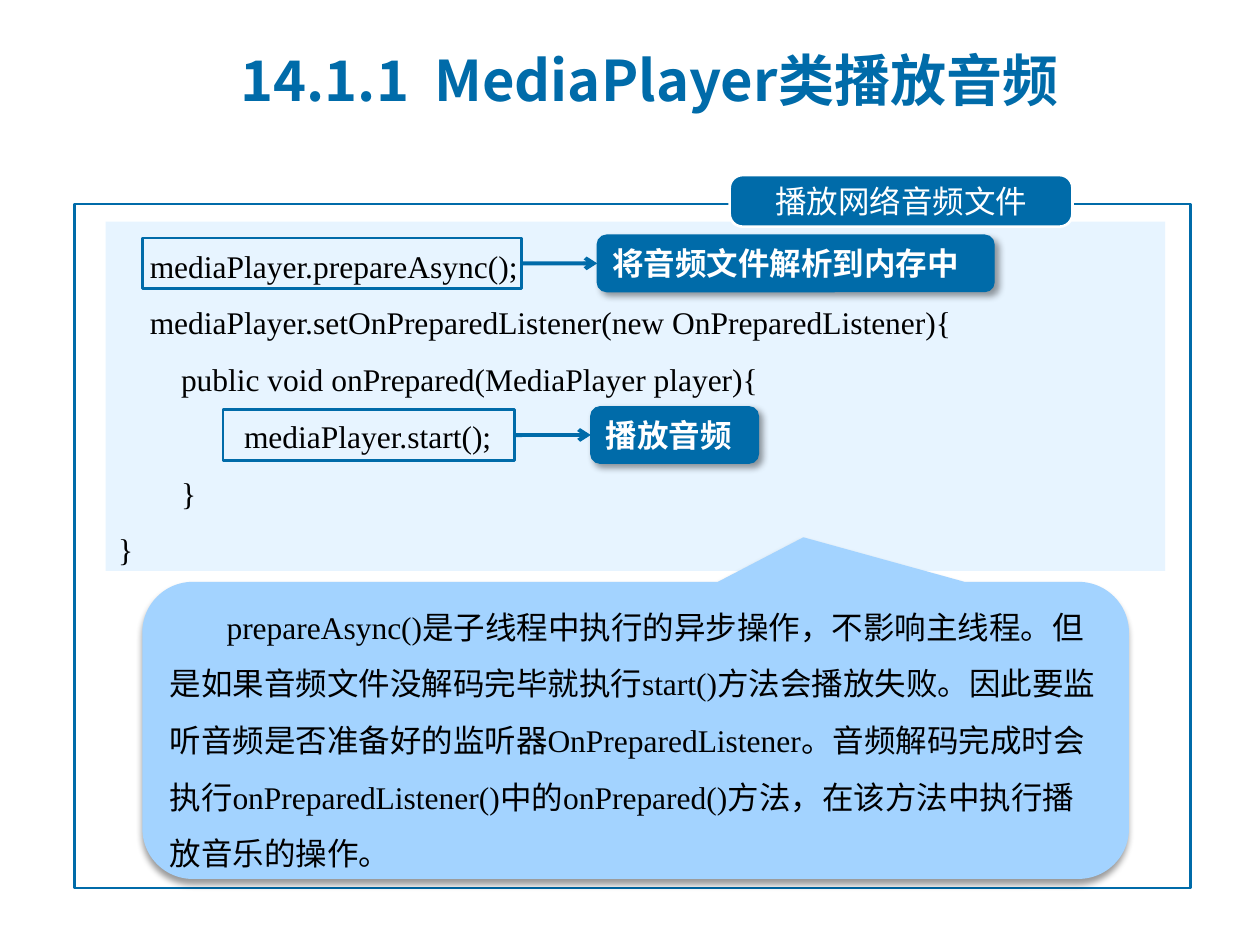
from lxml import etree
from pptx import Presentation
from pptx.dml.color import RGBColor
from pptx.enum.shapes import MSO_CONNECTOR, MSO_SHAPE
from pptx.enum.text import MSO_ANCHOR, PP_ALIGN
from pptx.oxml.ns import qn
from pptx.util import Cm, Pt

RECT = MSO_SHAPE.RECTANGLE
ROUND = MSO_SHAPE.ROUNDED_RECTANGLE
CALLOUT = MSO_SHAPE.ROUNDED_RECTANGULAR_CALLOUT
STRAIGHT = MSO_CONNECTOR.STRAIGHT
TOP, MIDDLE = MSO_ANCHOR.TOP, MSO_ANCHOR.MIDDLE
LEFT, CENTER = PP_ALIGN.LEFT, PP_ALIGN.CENTER
BLUE, PALE, SKY, WHITE, BLACK = "006BA9", "E7F4FF", "A3D3FF", "FFFFFF", "000000"
CJK, SERIF, SANS = "Noto Sans CJK SC", "Times New Roman", "Calibri"


def paint(fill, colour):
    fill.solid()
    fill.fore_color.rgb = RGBColor.from_string(colour)


def add_box(kind, place, fill=None, line=None, width=1.5, shadow=None,
            lines=(), colour=BLACK, font=None, frame=None, para_format=None):
    """Add a shape; lines holds (left margin, first-line indent, text) in cm."""
    left, top, wide, high = (Cm(value) for value in place)
    if kind is None:
        box = page.shapes.add_textbox(left, top, wide, high)
    else:
        box = page.shapes.add_shape(kind, left, top, wide, high)
        box.shadow.inherit = False
        if fill:
            paint(box.fill, fill)
        else:
            box.fill.background()
        if line:
            paint(box.line.fill, line)
            box.line.width = Pt(width)
        else:
            box.line.fill.background()
    if shadow is not None:
        effects = box._element.spPr.find(qn("a:effectLst"))
        outer = etree.SubElement(effects, qn("a:outerShdw"), blurRad=str(Pt(4)),
                                 dist=str(Pt(3)), dir=str(shadow * 60000), rotWithShape="0")
        tone = etree.SubElement(outer, qn("a:srgbClr"), val=BLACK)
        etree.SubElement(tone, qn("a:alpha"), val="40000")
    text = box.text_frame
    for name, value in {"word_wrap": True, "vertical_anchor": MIDDLE, **(frame or {})}.items():
        setattr(text, name, value)
    for number, (margin, indent, words) in enumerate(lines):
        para = text.add_paragraph() if number else text.paragraphs[0]
        for name, value in {"alignment": LEFT, **(para_format or {})}.items():
            setattr(para, name, value)
        properties = para._p.get_or_add_pPr()
        properties.set("marL", str(Cm(margin)))
        properties.set("indent", str(Cm(indent)))
        span = para.add_run()
        span.text = words
        for name, value in {"size": Pt(18), "name": SERIF, **(font or {})}.items():
            setattr(span.font, name, value)
        paint(span.font.fill, colour)
        etree.SubElement(span._r.get_or_add_rPr(), qn("a:ea"), typeface=CJK)
    return box


deck = Presentation()
deck.slide_width, deck.slide_height = Cm(25.4), Cm(19.05)
page = deck.slides.add_slide(deck.slide_layouts[6])

# Code panel
code = [
    (0.64, 0, "mediaPlayer.prepareAsync();"),
    (0.64, 0, "mediaPlayer.setOnPreparedListener(new OnPreparedListener){"),
    (1.27, 0, "public void onPrepared(MediaPlayer player){"),
    (2.54, 0, "mediaPlayer.start();"),
    (1.27, 0, "}"),
    (0, 0, "}"),
]
add_box(RECT, (2.13, 4.47, 21.36, 7.04), PALE, lines=code,
        frame={"vertical_anchor": TOP}, para_format={"line_spacing": 1.5})

# Outer frame and its tab
add_box(RECT, (1.5, 4.11, 22.5, 13.79), line=BLUE)
tab = add_box(ROUND, (14.71, 3.53, 6.91, 1.04), BLUE, WHITE,
              lines=[(0, 0, "播放网络音频文件")], colour=WHITE, font={"name": CJK},
              frame={"margin_left": Cm(0.6), "margin_right": Cm(0.6),
                     "margin_top": Cm(0.15), "margin_bottom": Cm(0.15)},
              para_format={"alignment": CENTER})
tab.adjustments[0] = 0.25

# Explanation callout
explanation = (
    "prepareAsync()是子线程中执行的异步操作，不影响主线程。"
    "但是如果音频文件没解码完毕就执行start()方法会播放失败。"
    "因此要监听音频是否准备好的监听器OnPreparedListener。"
    "音频解码完成时会执行onPreparedListener()中的onPrepared()方法，"
    "在该方法中执行播放音乐的操作。"
)
callout = add_box(CALLOUT, (2.87, 11.73, 19.89, 5.99), SKY, shadow=90,
                  lines=[(0, 1.15, explanation)], para_format={"line_spacing": 1.5})
for number, value in enumerate((0.17, -0.65, 0.17)):
    callout.adjustments[number] = value

# Title
add_box(None, (4.6, 0.53, 19.41, 2.13), lines=[(0, 0, "14.1.1  MediaPlayer类播放音频")],
        colour=BLUE, font={"size": Pt(32), "name": CJK, "bold": True})

# Outlined calls, each with an arrow to its label
notes = [
    (2.87, 4.8, 7.65, 12.04, 8.0, "将音频文件解析到内存中"),
    (4.5, 8.26, 5.87, 11.91, 3.38, "播放音频"),
]
for left, top, wide, label_left, label_wide, words in notes:
    outline = add_box(RECT, (left, top, wide, 1.02), line=BLUE)
    label = add_box(ROUND, (label_left, top - 0.06, label_wide, 1.14), BLUE, BLUE, 0.75, 45,
                    [(0, 0, words)], WHITE, {"name": SANS, "bold": True})
    arrow = page.shapes.add_connector(STRAIGHT, 0, 0, 0, 0)
    arrow.begin_connect(outline, 3)
    arrow.end_connect(label, 1)
    paint(arrow.line.fill, BLUE)
    arrow.line.width = Pt(2.25)
    etree.SubElement(arrow.line._get_or_add_ln(), qn("a:tailEnd"), type="arrow")
    etree.SubElement(arrow._element.spPr, qn("a:effectLst"))

deck.save("out.pptx")
